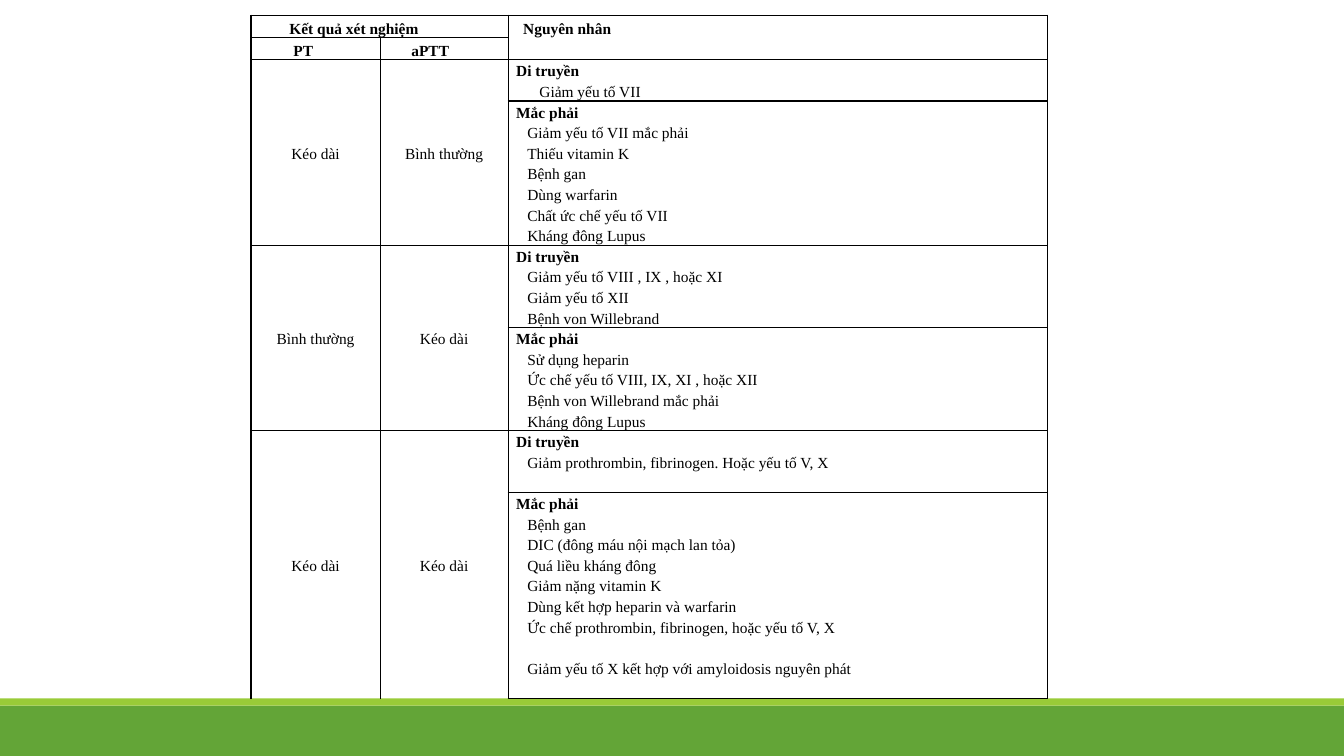
from lxml import etree
from pptx import Presentation
from pptx.dml.color import RGBColor
from pptx.enum.shapes import MSO_SHAPE
from pptx.enum.text import MSO_ANCHOR, PP_ALIGN
from pptx.oxml.ns import qn
from pptx.util import Inches, Pt

LEFT, CENTER, JUSTIFY = PP_ALIGN.LEFT, PP_ALIGN.CENTER, PP_ALIGN.JUSTIFY
TOP, MIDDLE = MSO_ANCHOR.TOP, MSO_ANCHOR.MIDDLE
RECTANGLE = MSO_SHAPE.RECTANGLE
BLACK = RGBColor(0x00, 0x00, 0x00)
GREEN = RGBColor(0x63, 0xA5, 0x37)
LIME = RGBColor(0x99, 0xCB, 0x38)
FONT, TEXT_SIZE = "Times New Roman", 11

FOOTER_BARS = [(7, 0.5, GREEN), (6.93, 0.07, LIME)]  # top, height, colour

# row, column, text, indent, alignment
HEADINGS = [
    (0, 0, "Kết quả xét nghiệm", 0.34, JUSTIFY),
    (0, 2, "Nguyên nhân", 0.11, LEFT),
    (1, 0, "PT", 0.38, JUSTIFY),
    (1, 1, "aPTT", 0.27, JUSTIFY),
]
INHERITED, ACQUIRED = "Di truyền", "Mắc phải"
# PT, aPTT, causes by origin
RESULTS = [
    ("Kéo dài", "Bình thường", {
        INHERITED: ["Giảm yếu tố VII"],
        ACQUIRED: ["Giảm yếu tố VII mắc phải", "Thiếu vitamin K", "Bệnh gan",
                   "Dùng warfarin", "Chất ức chế yếu tố VII", "Kháng đông Lupus"],
    }),
    ("Bình thường", "Kéo dài", {
        INHERITED: ["Giảm yếu tố VIII , IX , hoặc XI", "Giảm yếu tố XII",
                    "Bệnh von Willebrand"],
        ACQUIRED: ["Sử dụng heparin", "Ức chế yếu tố VIII, IX, XI , hoặc XII",
                   "Bệnh von Willebrand mắc phải", "Kháng đông Lupus"],
    }),
    ("Kéo dài", "Kéo dài", {
        INHERITED: ["Giảm prothrombin, fibrinogen. Hoặc yếu tố V, X"],
        ACQUIRED: ["Bệnh gan", "DIC (đông máu nội mạch lan tỏa)",
                   "Quá liều kháng đông", "Giảm nặng vitamin K",
                   "Dùng kết hợp heparin và warfarin",
                   "Ức chế prothrombin, fibrinogen, hoặc yếu tố V, X",
                   "Giảm yếu tố X kết hợp với amyloidosis nguyên phát"],
    }),
]
COLUMN_WIDTHS = [1.28, 1.27, 5.35]
HEADER_ROWS, HEADER_HEIGHT = 2, 0.21
ROW_HEIGHT, TALL_HEIGHT = 0.19, 0.41
TALL_ROWS = {21, 28, 29}
ORIGIN_INDENT, CAUSE_INDENT, FIRST_CAUSE_INDENT = 0.04, 0.15, 0.27


def write(cell, text, indent=0, align=LEFT, bold=False, spacing=1.2, anchor=TOP):
    cell.vertical_anchor = anchor
    cell.text_frame.text = text
    line = cell.text_frame.paragraphs[0]
    line.alignment = align
    line.line_spacing = spacing
    line._p.get_or_add_pPr().set("marL", str(Inches(indent)))
    font = line.runs[0].font
    font.name, font.size, font.bold = FONT, Pt(TEXT_SIZE), bold
    font.color.rgb = BLACK


def frame(cell, sides):
    """Rule the given sides (letters of LRTB) in black and clear the others."""
    properties = cell._tc.get_or_add_tcPr()
    for side in "LRTB":
        rule = etree.SubElement(properties, qn(f"a:ln{side}"), w=str(Pt(1)))
        if side in sides:
            fill = etree.SubElement(rule, qn("a:solidFill"))
            etree.SubElement(fill, qn("a:srgbClr"), val=str(BLACK))
        else:
            etree.SubElement(rule, qn("a:noFill"))
    cell.fill.background()
    cell.margin_left = cell.margin_right = Inches(0.04)
    cell.margin_top = cell.margin_bottom = 0


def frame_block(table, column, first, last):
    """Outline a run of rows in one column."""
    for row in range(first, last + 1):
        sides = "LR" + "T" * (row == first) + "B" * (row == last)
        frame(table.cell(row, column), sides)


prs = Presentation()
prs.slide_width, prs.slide_height = Inches(13.33), Inches(7.5)
slide = prs.slides.add_slide(prs.slide_layouts[6])

for top, height, colour in FOOTER_BARS:
    bar = slide.shapes.add_shape(RECTANGLE, 0, Inches(top), prs.slide_width, Inches(height))
    bar.shadow.inherit = False
    bar.fill.solid()
    bar.fill.fore_color.rgb = colour
    bar.line.fill.background()

row_count = HEADER_ROWS + sum(
    1 + len(causes) for _, _, origins in RESULTS for causes in origins.values())
heights = [HEADER_HEIGHT if row < HEADER_ROWS
           else TALL_HEIGHT if row in TALL_ROWS else ROW_HEIGHT
           for row in range(row_count)]
table = slide.shapes.add_table(
    row_count, len(COLUMN_WIDTHS), Inches(2.49), Inches(0.15),
    Inches(sum(COLUMN_WIDTHS)), Inches(sum(heights))).table
table.first_row = table.horz_banding = False
for column, width in zip(table.columns, COLUMN_WIDTHS):
    column.width = Inches(width)
for row, height in zip(table.rows, heights):
    row.height = Inches(height)

frame(table.cell(0, 0), "LTB")
frame(table.cell(0, 1), "RTB")
for column in (0, 1):
    frame_block(table, column, 1, 1)
frame_block(table, 2, 0, 1)
table.cell(0, 0).merge(table.cell(0, 1))
table.cell(0, 2).merge(table.cell(1, 2))
for row, column, heading, indent, align in HEADINGS:
    write(table.cell(row, column), heading, indent, align, bold=True, spacing=1.3)

row = HEADER_ROWS
for pt, aptt, origins in RESULTS:
    group_start = row
    for origin, causes in origins.items():
        frame_block(table, 2, row, row + len(causes))
        write(table.cell(row, 2), origin, ORIGIN_INDENT, bold=True)
        for offset, cause in enumerate(causes, 1):
            first_cause = row + offset == HEADER_ROWS + 1
            indent = FIRST_CAUSE_INDENT if first_cause else CAUSE_INDENT
            write(table.cell(row + offset, 2), cause, indent)
        row += 1 + len(causes)
    for column, result in enumerate((pt, aptt)):
        frame_block(table, column, group_start, row - 1)
        table.cell(group_start, column).merge(table.cell(row - 1, column))
        write(table.cell(group_start, column), result, align=CENTER, anchor=MIDDLE)

prs.save("out.pptx")
